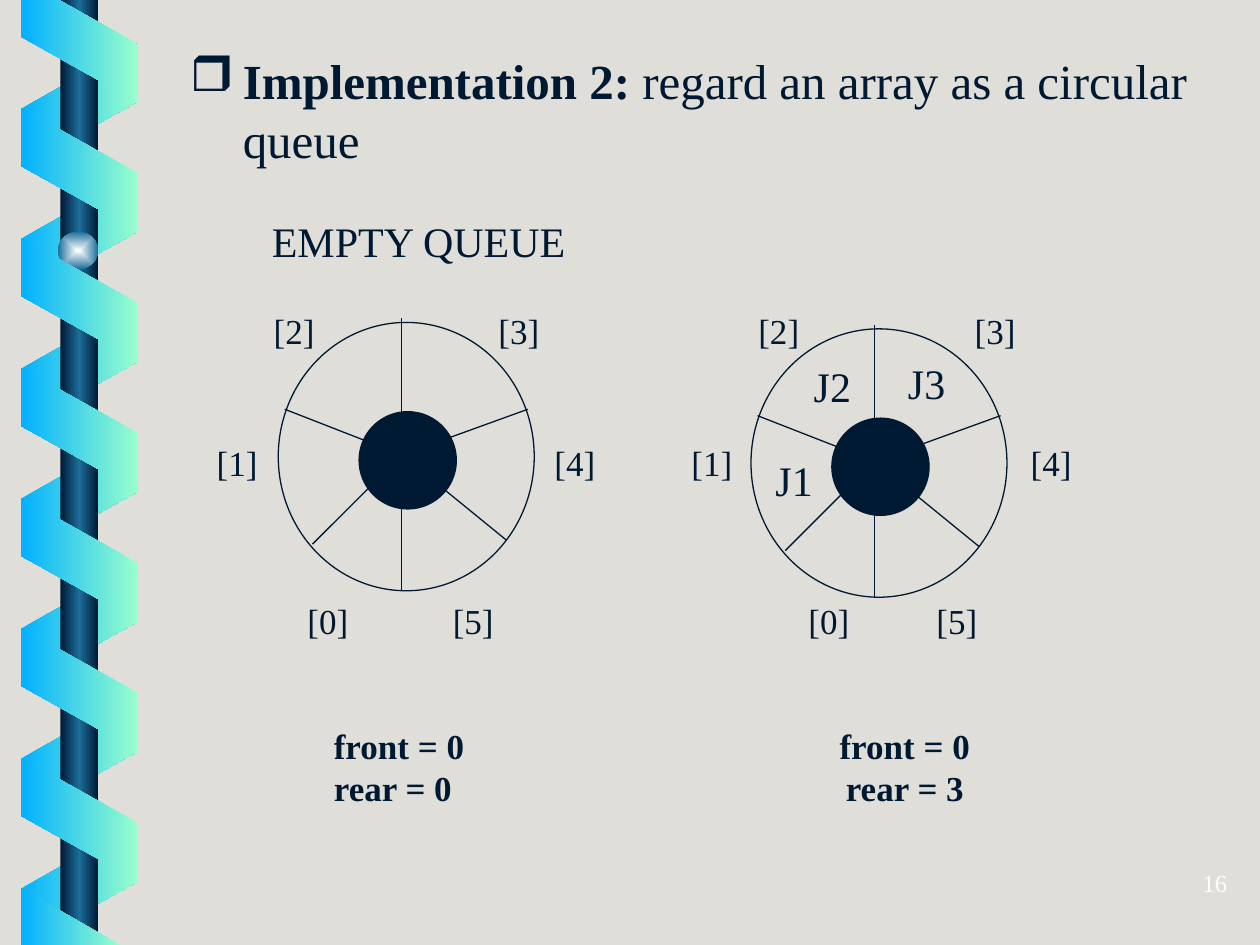
import pptx
import pptx.dml.color
import pptx.enum.shapes
import pptx.enum.text
import pptx.oxml
import pptx.oxml.ns
import pptx.util
from lxml import etree

Cm = pptx.util.Cm
Pt = pptx.util.Pt
RGBColor = pptx.dml.color.RGBColor
SHAPE = pptx.enum.shapes.MSO_SHAPE
ALIGN = pptx.enum.text.PP_ALIGN
ANCHOR = pptx.enum.text.MSO_ANCHOR
qn = pptx.oxml.ns.qn

FONT = "Times New Roman"
PAPER = RGBColor(0xDF, 0xDE, 0xD9)
NAVY = RGBColor(0x00, 0x19, 0x32)
STEEL = RGBColor(0x1C, 0x6D, 0x9A)
SKY = RGBColor(0x01, 0xB0, 0xFF)
MINT = RGBColor(0x99, 0xFF, 0xCC)
PEARL = RGBColor(0xFE, 0xFF, 0xFF)
WHITE = RGBColor(0xFF, 0xFF, 0xFF)

LINEAR = '<a:lin ang="10800000" scaled="0"/>'
CENTRED = '<a:path path="rect"><a:fillToRect l="50000" t="50000" r="50000" b="50000"/></a:path>'
RIBBON_PITCH = 2.62
HUB = (2.49, 2.67)
SPOKE_ENDS = [(2.49, -0.08), (2.49, 5.41), (0.13, 1.75), (0.69, 4.47), (5.03, 1.75), (4.6, 4.39)]


def format_runs(paragraph, size, color=NAVY, bold=False):
    for run in paragraph.runs:
        run.font.name = FONT
        run.font.size = Pt(size)
        run.font.bold = bold
        run.font.color.rgb = color


def add_label(slide, text, center, size=20, width=4, align=ALIGN.CENTER, color=NAVY, bold=False):
    height = 1.2 * (text.count("\n") + 1)
    x, y = center
    label = slide.shapes.add_textbox(Cm(x - width / 2), Cm(y - height / 2), Cm(width), Cm(height))
    frame = label.text_frame
    frame.word_wrap = True
    frame.vertical_anchor = ANCHOR.MIDDLE
    frame.text = text
    for paragraph in frame.paragraphs:
        paragraph.alignment = align
        format_runs(paragraph, size, color, bold)


def fill_gradient(shape, colors, direction=LINEAR):
    shape.shadow.inherit = False
    shape.line.fill.background()
    shape.fill.gradient()
    stops = "".join(
        f'<a:gs pos="{100000 * i // (len(colors) - 1)}"><a:srgbClr val="{color}"/></a:gs>'
        for i, color in enumerate(colors)
    )
    gradient = pptx.oxml.parse_xml(
        f'<a:gradFill {pptx.oxml.ns.nsdecls("a")} rotWithShape="0">'
        f"<a:gsLst>{stops}</a:gsLst>{direction}</a:gradFill>"
    )
    properties = shape._element.spPr
    properties.replace(properties.find(qn("a:gradFill")), gradient)


def add_ribbon(slide, top, front):
    ribbon = slide.shapes.add_shape(SHAPE.PARALLELOGRAM, Cm(0.36), Cm(top), Cm(2.49), Cm(2.36))
    ribbon.adjustments[0] = 0.56
    ribbon.rotation = 270 if front else 90
    if not front:
        ribbon._element.spPr.find(qn("a:xfrm")).set("flipH", "1")
    fill_gradient(ribbon, [MINT, SKY] if front else [SKY, MINT])


def add_ribbon_end(slide, points):
    corners = [(Cm(x), Cm(y)) for x, y in points]
    builder = slide.shapes.build_freeform(*corners[0])
    builder.add_line_segments(corners[1:])
    fill_gradient(builder.convert_to_shape(), [MINT, SKY])


def add_helix(slide):
    for turn in range(7):
        add_ribbon(slide, 0.94 + turn * RIBBON_PITCH, front=False)
    pole = slide.shapes.add_shape(SHAPE.RECTANGLE, Cm(1.22), 0, Cm(0.76), Cm(19.05))
    fill_gradient(pole, [NAVY, STEEL, NAVY])
    bead = slide.shapes.add_shape(SHAPE.OVAL, Cm(1.17), Cm(4.67), Cm(0.81), Cm(0.76))
    fill_gradient(bead, [PEARL, STEEL], CENTRED)
    for turn in range(6):
        add_ribbon(slide, 2.24 + turn * RIBBON_PITCH, front=True)
    add_ribbon_end(slide, [(0.43, 0), (0.43, 0.74), (2.77, 2.06), (2.77, 0.89), (1.19, 0)])
    add_ribbon_end(slide, [(2.42, 19.05), (0.43, 17.91), (0.43, 19.05)])


def add_circle(slide, left, top, width, height):
    circle = slide.shapes.add_shape(SHAPE.OVAL, Cm(left), Cm(top), Cm(width), Cm(height))
    circle.shadow.inherit = False
    circle.fill.background()
    circle.line.color.rgb = NAVY
    circle.line.width = Pt(0.75)
    return circle


def add_wheel(slide, left, top):
    for x, y in SPOKE_ENDS:
        spoke = slide.shapes.add_connector(
            pptx.enum.shapes.MSO_CONNECTOR.STRAIGHT,
            Cm(left + HUB[0]), Cm(top + HUB[1]), Cm(left + x), Cm(top + y),
        )
        spoke.line.color.rgb = NAVY
        spoke.line.width = Pt(0.75)
        etree.SubElement(spoke._element.spPr, qn("a:effectLst"))
    add_circle(slide, left, top, 5.16, 5.41)
    hub = add_circle(slide, left + 1.63, top + 1.8, 1.96, 1.96)
    hub.fill.solid()
    hub.fill.fore_color.rgb = NAVY


def add_slot_labels(slide, columns):
    rows = [12.5, 9.33, 6.67, 6.67, 9.33, 12.5]
    for slot, center in enumerate(zip(columns, rows)):
        add_label(slide, f"[{slot}]", center, width=1.5)


def set_heading(slide):
    heading = slide.shapes.title
    heading.left, heading.top = Cm(3.58), Cm(0.89)
    heading.width, heading.height = Cm(20.96), Cm(2.64)
    frame = heading.text_frame
    frame.auto_size = pptx.enum.text.MSO_AUTO_SIZE.NONE
    frame.vertical_anchor = ANCHOR.TOP
    paragraph = frame.paragraphs[0]
    paragraph.alignment = ALIGN.LEFT
    properties = paragraph._p.get_or_add_pPr()
    properties.set("marL", str(Cm(1.06)))
    properties.set("indent", str(-Cm(1.06)))
    bullet_color = etree.SubElement(properties, qn("a:buClr"))
    etree.SubElement(bullet_color, qn("a:srgbClr"), val=str(NAVY))
    etree.SubElement(properties, qn("a:buChar"), char="❒")
    for text in ("Implementation 2: ", "regard an array as a circular queue"):
        paragraph.add_run().text = text
    format_runs(paragraph, 28)
    paragraph.runs[0].font.bold = True


def main():
    deck = pptx.Presentation()
    deck.slide_width, deck.slide_height = Cm(25.4), Cm(19.05)
    slide = deck.slides.add_slide(deck.slide_layouts[5])
    slide.background.fill.solid()
    slide.background.fill.fore_color.rgb = PAPER

    add_helix(slide)
    set_heading(slide)
    add_label(slide, "EMPTY QUEUE", (8.89, 4.85), size=24, width=7.32, align=ALIGN.LEFT)

    add_wheel(slide, 5.61, 6.5)
    add_slot_labels(slide, [6.61, 4.78, 5.93, 10.46, 11.59, 9.54])
    add_label(slide, "front = 0\nrear = 0", (8.48, 15.46), align=ALIGN.LEFT, bold=True)

    add_wheel(slide, 15.14, 6.63)
    add_slot_labels(slide, [16.71, 14.35, 15.7, 20.06, 21.19, 19.29])
    add_label(slide, "front = 0\nrear = 3", (18.24, 15.46), bold=True)
    for job, center in (("J1", (16.01, 9.68)), ("J2", (16.78, 7.77)), ("J3", (18.68, 7.72))):
        add_label(slide, job, center, size=24, width=1.5)

    add_label(slide, "16", (24.49, 17.8), size=14, width=1.5, color=WHITE)
    deck.save("out.pptx")


if __name__ == "__main__":
    main()
